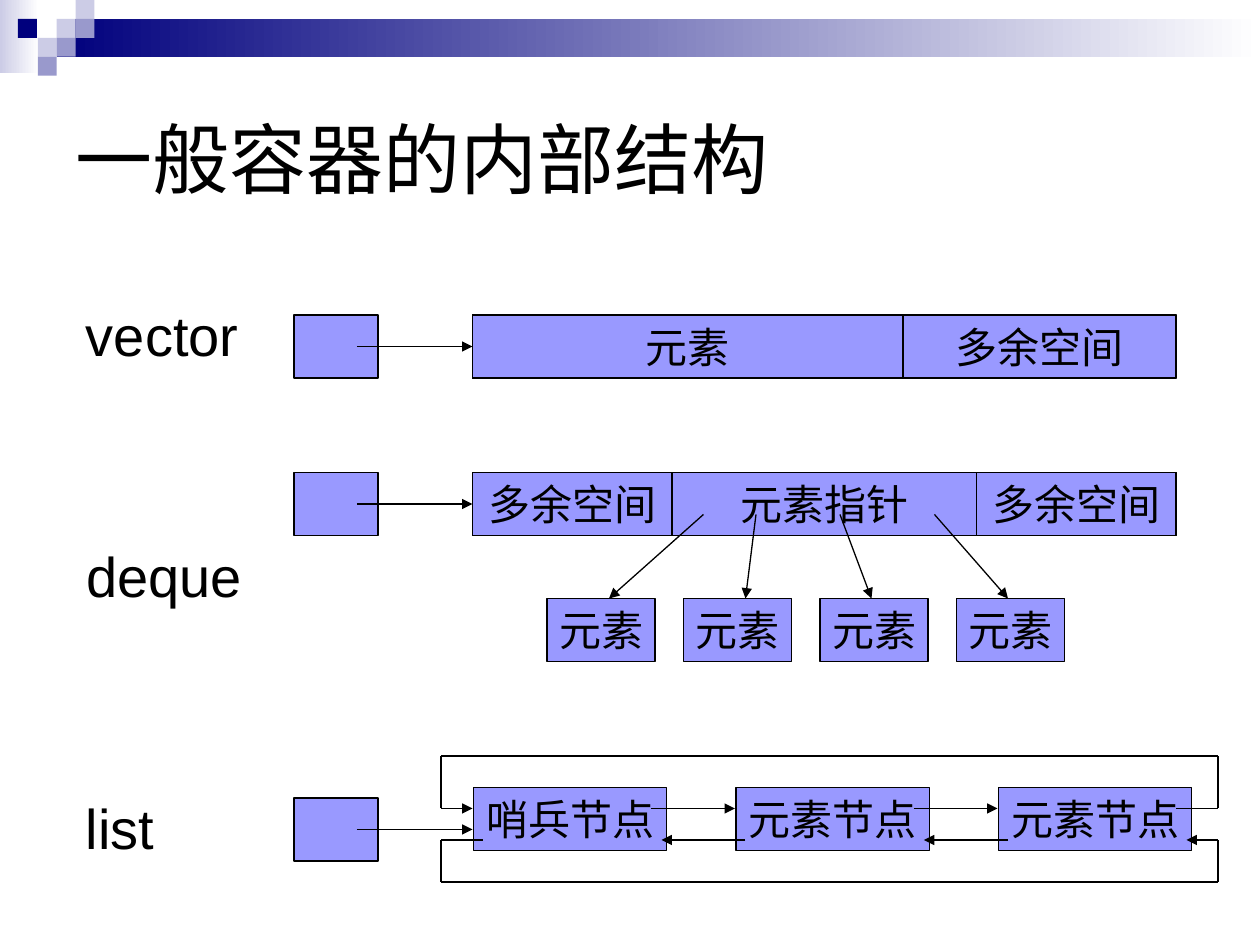
from dataclasses import dataclass
from itertools import pairwise

from lxml import etree
from pptx import Presentation
from pptx.dml.color import RGBColor
from pptx.enum.shapes import MSO_CONNECTOR, MSO_SHAPE
from pptx.enum.text import MSO_ANCHOR, PP_ALIGN
from pptx.oxml.ns import qn
from pptx.util import Inches, Pt

RECTANGLE = MSO_SHAPE.RECTANGLE
STRAIGHT = MSO_CONNECTOR.STRAIGHT
MIDDLE, TOP = MSO_ANCHOR.MIDDLE, MSO_ANCHOR.TOP
LEFT, CENTER = PP_ALIGN.LEFT, PP_ALIGN.CENTER
LEFT_SIDE = 1
COLUMNS, ROWS = 120, 90
TILE = 1.8


@dataclass(frozen=True)
class Theme:
    """Colours, font and type sizes of the slide."""

    ink: str = "000000"
    box: str = "9999FF"
    white: str = "FFFFFF"
    navy: str = "00007D"
    pale: str = "CCCCE6"
    mid: str = "9999CC"
    font: str = "Arial"
    title: int = 44
    label: int = 32
    body: int = 24
    stroke: float = 0.75


def write(shape, text, *, theme, size, align=CENTER, anchor=MIDDLE, wrap=False):
    """Put one formatted paragraph into a shape."""
    frame = shape.text_frame
    frame.word_wrap = wrap
    frame.vertical_anchor = anchor
    paragraph = frame.paragraphs[0]
    paragraph.alignment = align
    run = paragraph.add_run()
    run.text = text
    run.font.name = theme.font
    run.font.size = Pt(size)
    run.font.color.rgb = RGBColor.from_string(theme.ink)


class Diagram:
    """Draw themed elements on a slide grid of 120 columns and 90 rows."""

    def __init__(self, deck, theme):
        """Add a blank slide to the deck."""
        self.theme = theme
        self.unit_x = deck.slide_width / COLUMNS
        self.unit_y = deck.slide_height / ROWS
        self.shapes = deck.slides.add_slide(deck.slide_layouts[6]).shapes

    def place(self, *lengths):
        """Turn alternating columns and rows into slide lengths."""
        units = (self.unit_x, self.unit_y) * (len(lengths) // 2)
        return [round(length * unit) for length, unit in zip(lengths, units)]

    def panel(self, area, colour, fade_to=None):
        """Draw a decorative rectangle, fading from right to left if asked."""
        shape = self.shapes.add_shape(RECTANGLE, *self.place(*area))
        shape.shadow.inherit = False
        shape.line.fill.background()
        if fade_to:
            shape.fill.gradient()
            shape.fill.gradient_angle = 180
            for stop, shade in zip(shape.fill.gradient_stops, (colour, fade_to)):
                stop.color.rgb = RGBColor.from_string(shade)
        else:
            shape.fill.solid()
            shape.fill.fore_color.rgb = RGBColor.from_string(colour)
        return shape

    def box(self, area, text=""):
        """Draw an outlined memory block with an optional caption."""
        shape = self.panel(area, self.theme.box)
        shape.line.color.rgb = RGBColor.from_string(self.theme.ink)
        shape.line.width = Pt(self.theme.stroke)
        if text:
            write(shape, text, theme=self.theme, size=self.theme.body)
        return shape

    def label(self, area, text, **style):
        """Add a free text box."""
        write(self.shapes.add_textbox(*self.place(*area)), text, theme=self.theme, **style)

    def link(self, start, end, arrow=True, target=None):
        """Draw a straight line, joined to the target's left side if given."""
        line = self.shapes.add_connector(STRAIGHT, *self.place(*start, *end))
        if target is not None:
            line.end_connect(target, LEFT_SIDE)
        line.line.color.rgb = RGBColor.from_string(self.theme.ink)
        line.line.width = Pt(self.theme.stroke)
        properties = line._element.spPr
        if arrow:
            etree.SubElement(properties.find(qn("a:ln")), qn("a:tailEnd"), type="triangle")
        etree.SubElement(properties, qn("a:effectLst"))

    def loop(self, points):
        """Draw a chain of lines with an arrowhead on the last one."""
        legs = list(pairwise(points))
        for number, (start, end) in enumerate(legs, 1):
            self.link(start, end, arrow=number == len(legs))


def draw_header(diagram):
    """Draw the gradient bar, the mosaic of tiles and the title."""
    theme = diagram.theme
    diagram.panel((0, 0, 3.7, 7), theme.white, theme.pale)
    diagram.panel((3 * TILE, TILE, COLUMNS - 3 * TILE, 2 * TILE), theme.white, theme.navy)
    tiles = [
        (3, 1, theme.pale), (4, 0, theme.pale), (4, 1, theme.mid), (2, 2, theme.pale),
        (0.95, 1, theme.navy), (3, 2, theme.mid), (2, 3, theme.mid),
    ]
    for column, row, colour in tiles:
        diagram.panel((column * TILE, row * TILE, TILE, TILE), colour)
    diagram.label((6, 6, 108, 18), "一般容器的内部结构", size=theme.title, align=LEFT, wrap=True)


def draw_labels(diagram):
    """Name each container and draw its handle."""
    names = [("vector", 28, 16.9, 30), ("deque", 51, 17.3, 45), ("list", 75, 8.9, 76)]
    for name, row, width, handle_row in names:
        diagram.label((7, row, width, 7.7), name, size=diagram.theme.label, anchor=TOP)
        diagram.box((28, handle_row, 8, 6))


def draw_strip(diagram, row, cells):
    """Draw contiguous memory cells and the arrow from the handle."""
    diagram.box((45, row, 67, 6))
    blocks = [diagram.box((column, row, width, 6), text) for column, width, text in cells]
    diagram.link((34, row + 3), (45, row + 3), target=blocks[0])


def draw_deque_elements(diagram):
    """Draw the separate elements that the deque points to."""
    for number, (source, target) in enumerate([(67, 58), (72, 71), (80, 83), (89, 96)]):
        diagram.box((52.1 + 13 * number, 57, 10.3, 6), "元素")
        diagram.link((source, 49), (target, 57))


def draw_list(diagram):
    """Draw the circular doubly linked nodes."""
    diagram.link((34, 79), (45, 79))
    for number, text in enumerate(["哨兵节点", "元素节点", "元素节点"]):
        column = 45.1 + 25 * number
        diagram.box((column, 75, 18.4, 6), text)
        if number:
            diagram.link((column - 8.1, 77), (column - 0.1, 77))
            diagram.link((column + 0.9, 80), (column - 7.1, 80))
    diagram.loop([(112, 77), (116, 77), (116, 72), (42, 72), (42, 77), (45, 77)])
    diagram.loop([(46, 80), (42, 80), (42, 84), (116, 84), (116, 80), (113, 80)])


def main():
    """Build and save the slide."""
    deck = Presentation()
    deck.slide_width, deck.slide_height = Inches(10), Inches(7.5)
    diagram = Diagram(deck, Theme())
    draw_header(diagram)
    draw_labels(diagram)
    draw_strip(diagram, 30, [(45, 41, "元素"), (86, 26, "多余空间")])
    draw_strip(diagram, 45, [(45, 19, "多余空间"), (64, 29, "元素指针"), (93, 19, "多余空间")])
    draw_deque_elements(diagram)
    draw_list(diagram)
    deck.save("out.pptx")


if __name__ == "__main__":
    main()
